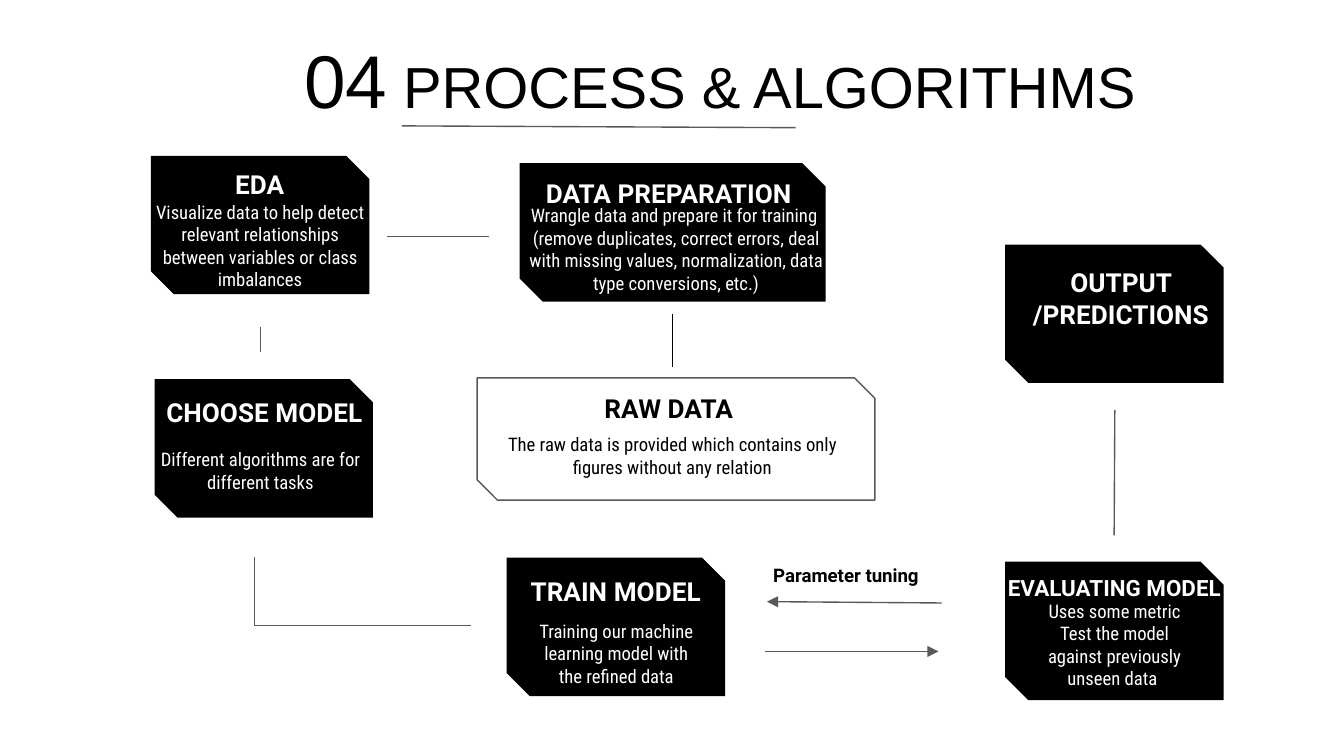
"""Build the process and algorithms flow slide."""
from dataclasses import dataclass
from typing import NamedTuple, Optional

from lxml import etree
from pptx import Presentation
from pptx.dml.color import RGBColor
from pptx.enum.shapes import MSO_CONNECTOR, MSO_SHAPE
from pptx.enum.text import MSO_ANCHOR, MSO_AUTO_SIZE, PP_ALIGN
from pptx.oxml.ns import qn
from pptx.util import Inches, Pt

SNIPPED = MSO_SHAPE.SNIP_2_DIAG_RECTANGLE
STRAIGHT, ELBOW, CURVE = MSO_CONNECTOR.STRAIGHT, MSO_CONNECTOR.ELBOW, MSO_CONNECTOR.CURVE
TOP, BOTTOM = MSO_ANCHOR.TOP, MSO_ANCHOR.BOTTOM
CENTER, LEFT = PP_ALIGN.CENTER, PP_ALIGN.LEFT
NO_AUTOFIT = MSO_AUTO_SIZE.NONE

SLIDE_WIDTH = Inches(10)
SLIDE_HEIGHT = SLIDE_WIDTH * 9 // 16
COLUMN, ROW = SLIDE_WIDTH / 100, SLIDE_HEIGHT / 56.25
HEADING_ROWS = 4.3


@dataclass(frozen=True)
class Theme:
    """Colours, fonts and type sizes."""
    ink: RGBColor = RGBColor(0, 0, 0)
    paper: RGBColor = RGBColor(255, 255, 255)
    rule: RGBColor = RGBColor(0x59, 0x59, 0x59)
    title_font: str = "Arial"
    heading_font: str = "Roboto"
    body_font: str = "Roboto Condensed"
    number_size: float = 40
    title_size: float = 31
    heading_size: float = 14
    small_heading_size: float = 12
    body_size: float = 10
    line_width: float = 0.75


THEME = Theme()


class Area(NamedTuple):
    """A rectangle in grid columns and rows."""
    left: float
    top: float
    width: float
    height: float

    def lengths(self) -> list[int]:
        """Return the rectangle in slide lengths."""
        return [round(value * unit) for value, unit in zip(self, (COLUMN, ROW) * 2)]


class Style(NamedTuple):
    """The look of a run of text."""
    font: str
    size: float
    color: RGBColor
    bold: bool = False


@dataclass(frozen=True)
class Card:
    """A snipped box with a heading and body paragraphs."""
    area: Area
    heading: str
    heading_area: Area
    body: tuple[str, ...] = ()
    body_area: Optional[Area] = None
    heading_size: float = THEME.heading_size
    filled: bool = True


@dataclass(frozen=True)
class Link:
    """A line between two grid points."""
    start: tuple[float, float]
    end: tuple[float, float]
    kind: int = STRAIGHT
    color: RGBColor = THEME.rule
    arrow: bool = False


def step_area(left: float, top: float, width: float = 16.25) -> Area:
    """Return the area of a process step."""
    return Area(left, top, width, 10.3)


CARDS = (
    Card(step_area(11.23, 11.6), "EDA", Area(11.53, 11.6, 15.6, HEADING_ROWS),
         ("Visualize data to help detect relevant relationships between variables or class imbalances",),
         Area(10.45, 13.93, 17.8, 6.8)),
    Card(step_area(38.67, 12.15, 22.75), "DATA PREPARATION ", Area(38.6, 12.2, 22.8, HEADING_ROWS),
         ("Wrangle data and prepare it for training ",
          "(remove duplicates, correct errors, deal with missing values, normalization, data type conversions, etc.)"),
         Area(37.7, 14.2, 25.2, 6.8)),
    Card(Area(35.5, 28.12, 29.6, 9.1), "RAW DATA ", Area(42.2, 28.23, 15.6, HEADING_ROWS),
         ("The raw data is provided which contains only figures without any relation",),
         Area(34.87, 31.23, 30.3, 9), filled=False),
    Card(step_area(11.5, 28.22), "CHOOSE MODEL", Area(10.77, 28.53, 17.8, HEADING_ROWS),
         ("Different algorithms are for different tasks",), Area(10.47, 32.33, 17.8, 6.8)),
    Card(step_area(37.7, 41.5), "TRAIN MODEL", Area(38.02, 41.82, 15.6, HEADING_ROWS),
         ("Training our machine learning model with the refined data",),
         Area(38.8, 45.1, 14.1, 6.8)),
    Card(step_area(74.8, 41.8), "EVALUATING MODEL", Area(72.67, 41.43, 20.5, HEADING_ROWS),
         ("Uses some metric Test the model against previously unseen data ",),
         Area(75.87, 43.62, 14.1, 6.8), THEME.small_heading_size),
    Card(step_area(74.8, 18.2), "OUTPUT /PREDICTIONS", Area(74.8, 21.23, 17.2, HEADING_ROWS)),
)

LINKS = (
    Link((29.9, 9.37), (59.2, 9.5)),
    Link((36.4, 17.62), (28.8, 17.62)),
    Link((50.05, 23.33), (50.05, 27.27), CURVE, THEME.ink),
    Link((19.4, 24.33), (19.4, 26.2)),
    Link((18.93, 41.43), (35.03, 46.53), ELBOW),
    Link((56.9, 48.47), (69.83, 48.47), arrow=True),
    Link((70.07, 44.87), (57.07, 44.77), arrow=True),
    Link((82.95, 30.5), (82.9, 39.83)),
)


def add_run(paragraph, text: str, style: Style) -> None:
    """Append a styled run to a paragraph."""
    run = paragraph.add_run()
    run.text = text
    run.font.name, run.font.size, run.font.bold = style.font, Pt(style.size), style.bold
    run.font.color.rgb = style.color


def format_frame(frame, anchor) -> None:
    """Set wrapping, anchor and equal insets."""
    frame.word_wrap = True
    frame.auto_size = NO_AUTOFIT
    frame.vertical_anchor = anchor
    frame.margin_left = frame.margin_right = frame.margin_top = frame.margin_bottom = Inches(0.1)


def add_text(slide, area: Area, lines: tuple[str, ...], style: Style, anchor, align=CENTER) -> None:
    """Add a text box with one paragraph per line."""
    frame = slide.shapes.add_textbox(*area.lengths()).text_frame
    format_frame(frame, anchor)
    for index, line in enumerate(lines):
        paragraph = frame.add_paragraph() if index else frame.paragraphs[0]
        paragraph.alignment = align
        add_run(paragraph, line, style)


def add_title(slide) -> None:
    """Fill and place the title placeholder."""
    title = slide.shapes.title
    title.left, title.top, title.width, title.height = Area(17.7, 1.5, 71.7, 10.3).lengths()
    format_frame(title.text_frame, TOP)
    paragraph = title.text_frame.paragraphs[0]
    paragraph.alignment = CENTER
    add_run(paragraph, "04", Style(THEME.title_font, THEME.number_size, THEME.ink))
    add_run(paragraph, " PROCESS & ALGORITHMS", Style(THEME.title_font, THEME.title_size, THEME.ink))


def add_card(slide, card: Card) -> None:
    """Draw a card with its texts."""
    shape = slide.shapes.add_shape(SNIPPED, *card.area.lengths())
    shape.shadow.inherit = False
    if card.filled:
        shape.fill.solid()
        shape.fill.fore_color.rgb = THEME.ink
        shape.line.fill.background()
    else:
        shape.fill.background()
        shape.line.color.rgb = THEME.rule
        shape.line.width = Pt(THEME.line_width)
    color = THEME.paper if card.filled else THEME.ink
    heading_style = Style(THEME.heading_font, card.heading_size, color, True)
    add_text(slide, card.heading_area, (card.heading,), heading_style, BOTTOM)
    if card.body_area:
        add_text(slide, card.body_area, card.body, Style(THEME.body_font, THEME.body_size, color), TOP)


def add_link(slide, link: Link) -> None:
    """Draw a connector, with an arrowhead if asked."""
    points = [round(value * unit) for value, unit in zip(link.start + link.end, (COLUMN, ROW) * 2)]
    connector = slide.shapes.add_connector(link.kind, *points)
    connector.line.color.rgb = link.color
    connector.line.width = Pt(THEME.line_width)
    properties = connector.element.spPr
    if link.arrow:
        etree.SubElement(properties.find(qn("a:ln")), qn("a:tailEnd"), type="triangle")
    if link.kind == ELBOW:
        guides = properties.find(qn("a:prstGeom")).find(qn("a:avLst"))
        etree.SubElement(guides, qn("a:gd"), name="adj1", fmla="val 0")
    etree.SubElement(properties, qn("a:effectLst"))


def main() -> None:
    """Build and save the presentation."""
    presentation = Presentation()
    presentation.slide_width, presentation.slide_height = SLIDE_WIDTH, SLIDE_HEIGHT
    slide = presentation.slides.add_slide(presentation.slide_layouts.get_by_name("Title Only"))
    add_title(slide)
    for card in CARDS:
        add_card(slide, card)
    for link in LINKS:
        add_link(slide, link)
    label_style = Style(THEME.heading_font, THEME.body_size, THEME.ink, True)
    add_text(slide, Area(56.55, 40.35, 15.6, HEADING_ROWS), ("Parameter tuning",), label_style, BOTTOM, LEFT)
    presentation.save("out.pptx")


if __name__ == "__main__":
    main()
